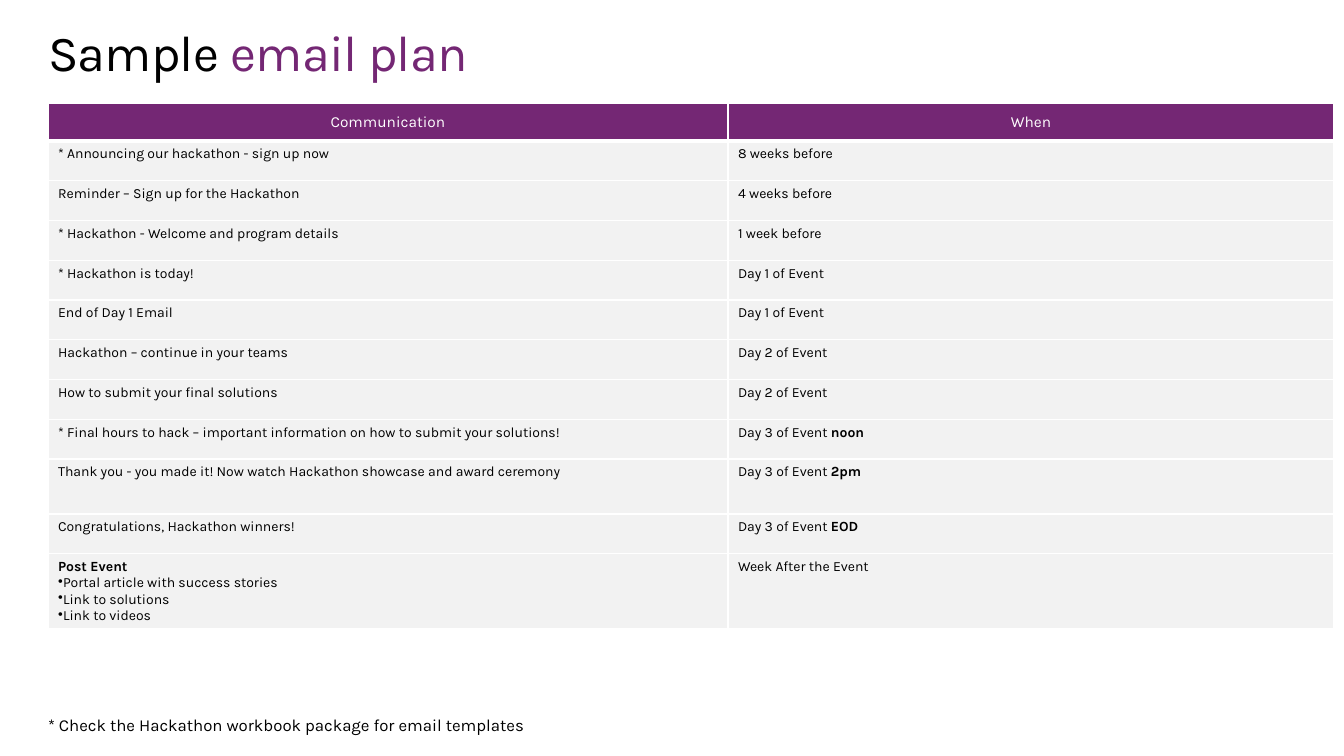
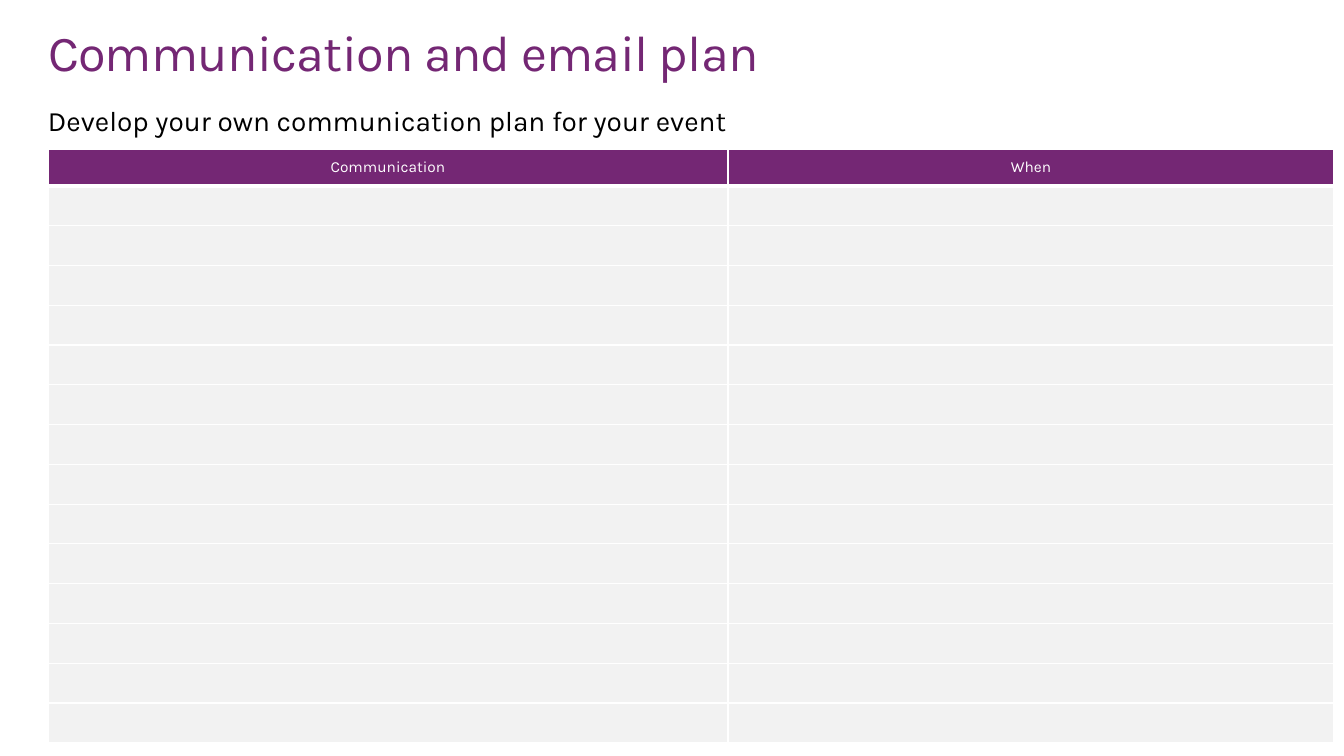
from lxml.etree import SubElement
from pptx import Presentation
from pptx.dml.color import RGBColor
from pptx.enum.text import MSO_ANCHOR, MSO_AUTO_SIZE, PP_ALIGN
from pptx.oxml.ns import qn
from pptx.util import Pt

SCALE = 12192000 / 1344
FONT = "Karla"
PURPLE, BLACK, WHITE, GREY = "742774", "000000", "FFFFFF", "F2F2F2"
LEFT = 48
COLS = (680, 606)
HEADS = ("Communication", "When")
TITLE_ONLY = 5

# Text after a bar is bold; further lines of a cell are bullets.
PLAN = [
    ("* Announcing our hackathon - sign up now", "8 weeks before"),
    ("Reminder – Sign up for the Hackathon", "4 weeks before"),
    ("* Hackathon - Welcome and program details", "1 week before"),
    ("* Hackathon is today!", "Day 1 of Event"),
    ("End of Day 1 Email", "Day 1 of Event"),
    ("Hackathon – continue in your teams", "Day 2 of Event"),
    ("How to submit your final solutions", "Day 2 of Event"),
    ("* Final hours to hack – important information on how to submit "
     "your solutions!", "Day 3 of Event |noon"),
    ("Thank you - you made it! Now watch Hackathon showcase and award "
     "ceremony", "Day 3 of Event |2pm"),
    ("Congratulations, Hackathon winners!", "Day 3 of Event |EOD"),
    ("|Post Event\nPortal article with success stories\n"
     "Link to solutions\nLink to videos", "Week After the Event"),
]


def px(count):
    return round(count * SCALE)


ROW = px(557) // 14


def rgb(code):
    return RGBColor.from_string(code)


def style(para, size, color, align=PP_ALIGN.LEFT):
    para.alignment = align
    font = para.font
    font.name, font.size, font.bold = FONT, Pt(size), False
    font.color.rgb = rgb(color)


def place(shape, top, width, height):
    """Put a text shape at the left margin and clear its insets."""
    shape.left, shape.top = px(LEFT), px(top)
    shape.width, shape.height = px(width), px(height)
    frame = shape.text_frame
    frame.margin_left = frame.margin_right = 0
    frame.margin_top = frame.margin_bottom = 0
    frame.word_wrap = True
    frame.auto_size = MSO_AUTO_SIZE.NONE
    frame.vertical_anchor = MSO_ANCHOR.TOP
    return frame.paragraphs[0]


def add_slide(deck, *parts):
    """Add a slide whose title is made of (text, colour) parts."""
    slide = deck.slides.add_slide(deck.slide_layouts[TITLE_ONLY])
    para = place(slide.shapes.title, 21, 1250, 62)
    style(para, 36, BLACK)
    for text, color in parts:
        run = para.add_run()
        run.text = text
        run.font.color.rgb = rgb(color)
        run.font._element.set("spc", "-50")
    return slide


def add_text(slide, text, top, width, height, size):
    para = place(slide.shapes.add_textbox(0, 0, 0, 0), top, width, height)
    para.text = text
    style(para, size, BLACK)


def add_bullet(para):
    props = para._p.get_or_add_pPr()
    props.set("marL", "0")
    props.set("indent", "0")
    SubElement(props, qn("a:buChar")).set("char", "•")


def paint(cell, fill, base=1):
    """Fill a cell and rule it in white; base is the lower line's width."""
    props = cell._tc.get_or_add_tcPr()
    for side, width in (("L", 1), ("R", 1), ("T", 1), ("B", base)):
        line = SubElement(props, qn(f"a:ln{side}"), w=str(Pt(width)))
        solid = SubElement(line, qn("a:solidFill"))
        SubElement(solid, qn("a:srgbClr"), val=WHITE)
    cell.fill.solid()
    cell.fill.fore_color.rgb = rgb(fill)


def fill_head(cell, text):
    paint(cell, PURPLE, 3)
    cell.vertical_anchor = MSO_ANCHOR.MIDDLE
    para = cell.text_frame.paragraphs[0]
    para.text = text
    style(para, 11, WHITE, PP_ALIGN.CENTER)


def fill_body(cell, text):
    paint(cell, GREY)
    cell.margin_bottom = 0
    frame = cell.text_frame
    for index, line in enumerate(text.split("\n")):
        para = frame.add_paragraph() if index else frame.paragraphs[0]
        if index:
            add_bullet(para)
        style(para, 10, BLACK)
        plain, _, strong = line.partition("|")
        if plain:
            para.add_run().text = plain
        if strong:
            run = para.add_run()
            run.text = strong
            run.font.bold = True


def add_plan(slide, top, head, rows, tall=None):
    """Add the plan table; tall maps body row numbers to heights in px."""
    sizes = [px(head)] + [ROW] * len(rows)
    for index, height in (tall or {}).items():
        sizes[index] = px(height)
    table = slide.shapes.add_table(
        len(sizes), len(COLS), px(LEFT), px(top), px(sum(COLS)), sum(sizes)
    ).table
    for row, height in zip(table.rows, sizes):
        row.height = height
    for col, width in enumerate(COLS):
        table.columns[col].width = px(width)
        fill_head(table.cell(0, col), HEADS[col])
        for index, texts in enumerate(rows, 1):
            fill_body(table.cell(index, col), texts[col])


def main():
    deck = Presentation()
    deck.slide_width, deck.slide_height = px(1344), px(756)

    slide = add_slide(deck, ("Sample ", BLACK), ("email plan", PURPLE))
    add_plan(slide, 103, 38, PLAN, {9: 55, 11: 75})
    add_text(slide, "* Check the Hackathon workbook package for email templates",
             715, 900, 20, 12)

    slide = add_slide(deck, ("Communication and email plan", PURPLE))
    add_text(slide, "Develop your own communication plan for your event",
             103, 868, 34, 20)
    add_plan(slide, 149, 37, [("", "")] * 14)

    deck.save("out.pptx")


if __name__ == "__main__":
    main()
